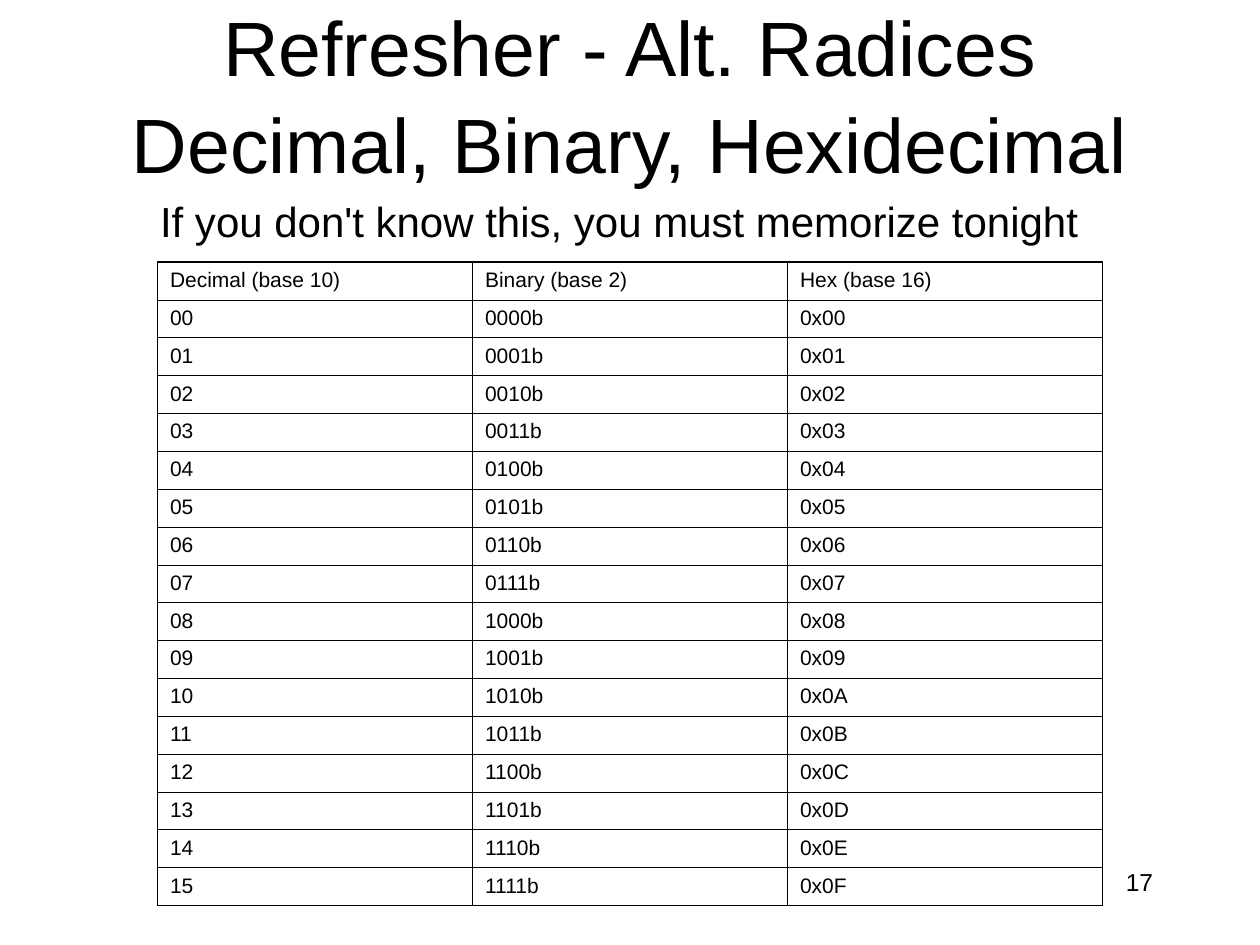
from lxml import etree
from pptx import Presentation
from pptx.dml.color import RGBColor
from pptx.enum.text import MSO_ANCHOR, MSO_AUTO_SIZE, PP_ALIGN
from pptx.oxml.ns import qn
from pptx.util import Inches, Pt

CENTER, LEFT, RIGHT = PP_ALIGN.CENTER, PP_ALIGN.LEFT, PP_ALIGN.RIGHT
TOP, MIDDLE = MSO_ANCHOR.TOP, MSO_ANCHOR.MIDDLE
NO_AUTOFIT = MSO_AUTO_SIZE.NONE
FONT = "Arial"
COLORS = {"ink": "000000", "paper": "FFFFFF"}
TITLE_ONLY = 5
OUTER_RULE, INNER_RULE = 1.08, 0.45

HEADINGS = ["Decimal (base 10)", "Binary (base 2)", "Hex (base 16)"]
COLUMN_WIDTH, ROW_HEIGHT = 2.5, 0.3


def write(frame, text, size, align):
    paragraph = frame.paragraphs[0]
    paragraph.alignment = align
    run = paragraph.add_run()
    run.text = text
    run.font.name = FONT
    run.font.size = Pt(size)
    run.font.color.rgb = RGBColor.from_string(COLORS["ink"])


def add_title(slide, text):
    title = slide.shapes.title
    title.left, title.top = Inches(0.75), Inches(0.08)
    title.width, title.height = Inches(8.5), Inches(1.25)
    frame = title.text_frame
    frame.auto_size = NO_AUTOFIT
    frame.vertical_anchor = MIDDLE
    frame.margin_bottom = 0
    write(frame, text, 44, CENTER)
    frame.paragraphs[0].line_spacing = 1.05


def add_label(slide, box, text, size, align, anchor, wrap):
    label = slide.shapes.add_textbox(*(Inches(length) for length in box))
    frame = label.text_frame
    frame.word_wrap = wrap
    frame.vertical_anchor = anchor
    write(frame, text, size, align)


def set_borders(cell, widths):
    """Draw the left, right, top and bottom rules, with widths in points."""
    properties = cell._tc.get_or_add_tcPr()
    for position, (side, width) in enumerate(zip("LRTB", widths)):
        rule = etree.Element(qn(f"a:ln{side}"), w=str(Pt(width)))
        fill = etree.SubElement(rule, qn("a:solidFill"))
        etree.SubElement(fill, qn("a:srgbClr"), val=COLORS["ink"])
        properties.insert(position, rule)


def add_radix_table(slide, left, top):
    numbers = [[f"{n:02d}", f"{n:04b}b", f"0x{n:02X}"] for n in range(16)]
    rows = [HEADINGS] + numbers
    last_row, last_column = len(rows) - 1, len(HEADINGS) - 1
    table = slide.shapes.add_table(
        len(rows), len(HEADINGS), Inches(left), Inches(top),
        Inches(COLUMN_WIDTH * len(HEADINGS)), Inches(ROW_HEIGHT * len(rows)),
    ).table
    table.horz_banding = False
    table.first_row = False
    for column in table.columns:
        column.width = Inches(COLUMN_WIDTH)
    for r, values in enumerate(rows):
        table.rows[r].height = Inches(ROW_HEIGHT)
        for c, value in enumerate(values):
            cell = table.cell(r, c)
            cell.fill.solid()
            cell.fill.fore_color.rgb = RGBColor.from_string(COLORS["paper"])
            write(cell.text_frame, value, 12, LEFT)
            on_edge = [c == 0, c == last_column, r == 0, r == last_row]
            set_borders(cell, [OUTER_RULE if edge else INNER_RULE for edge in on_edge])


def main():
    deck = Presentation()
    deck.slide_width, deck.slide_height = Inches(10), Inches(7.5)
    slide = deck.slides.add_slide(deck.slide_layouts[TITLE_ONLY])
    add_label(slide, (7.17, 6.83, 2.08, 0.5), "17", 14, RIGHT, TOP, True)
    add_title(slide, "Refresher - Alt. Radices Decimal, Binary, Hexidecimal")
    add_radix_table(slide, 1.25, 2.08)
    add_label(slide, (1.17, 1.5, 7.49, 0.5),
              "If you don't know this, you must memorize tonight",
              24, CENTER, MIDDLE, False)
    deck.save("out.pptx")


if __name__ == "__main__":
    main()
